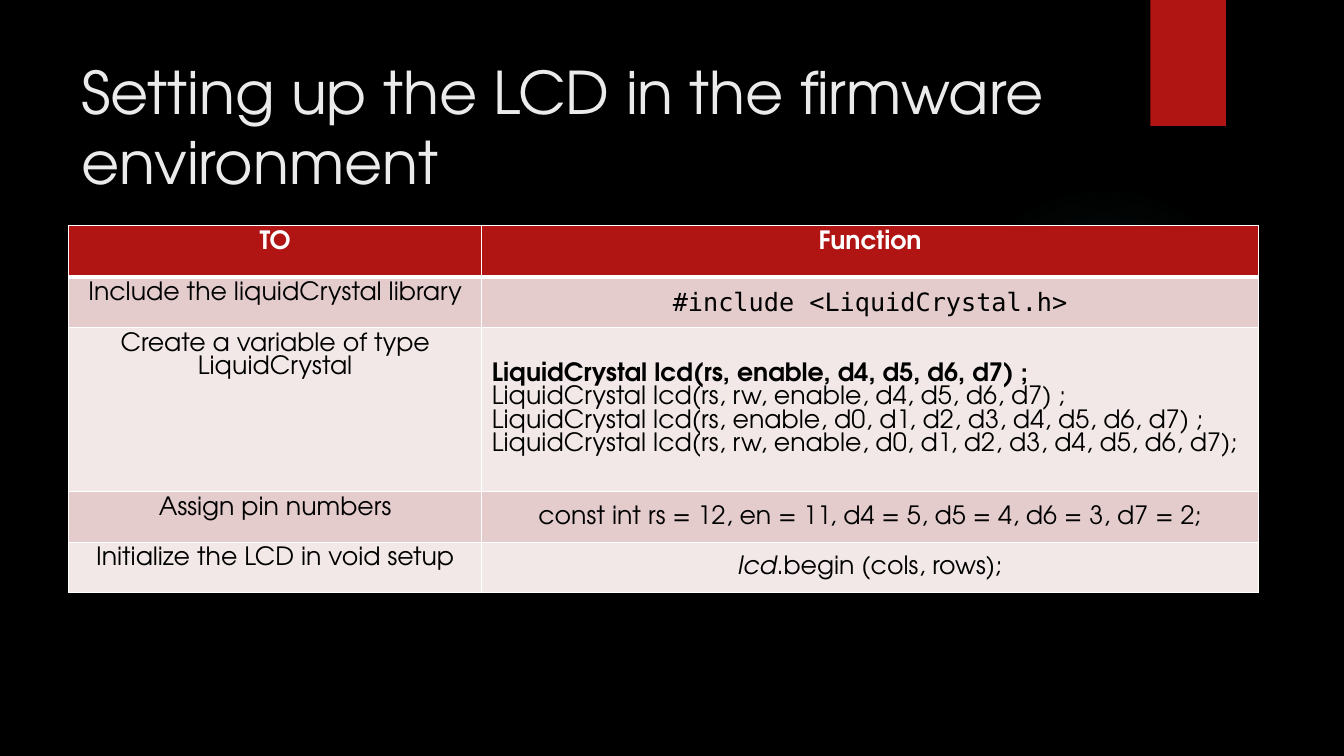
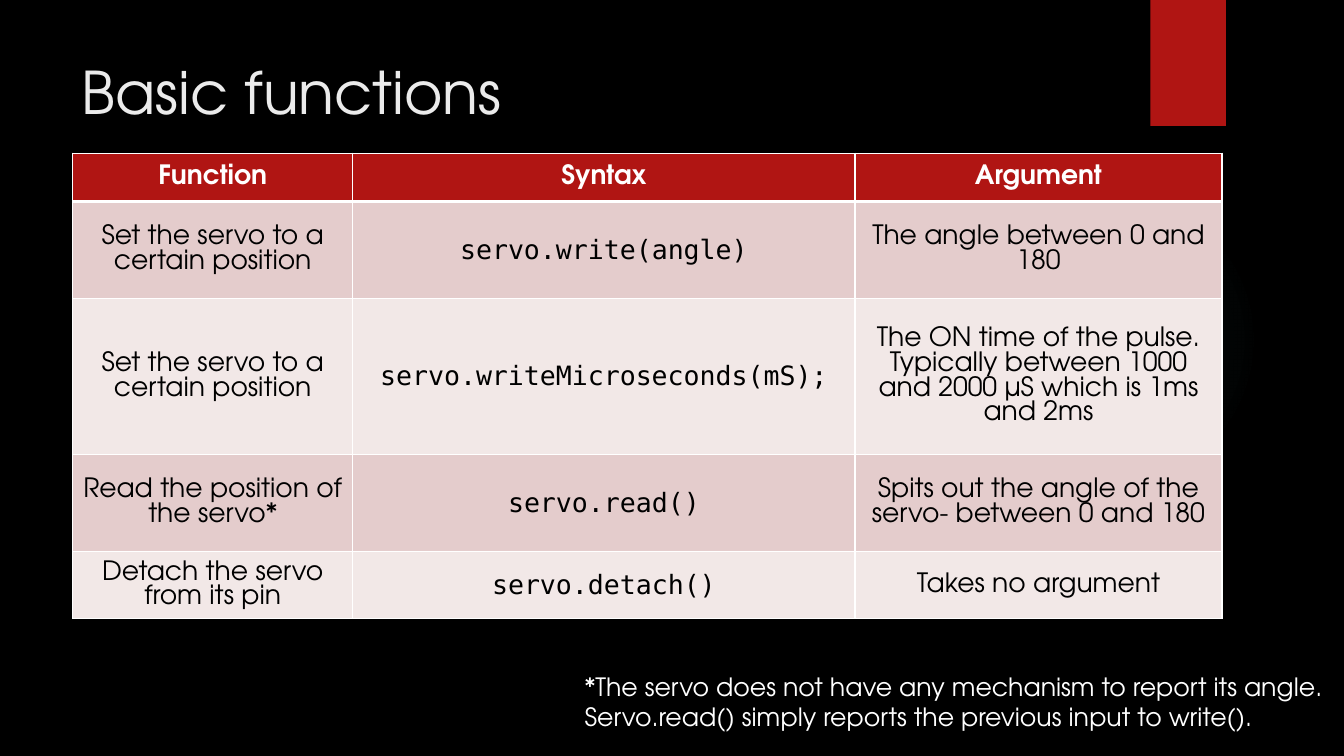
import dataclasses

import pptx
import pptx.dml.color
import pptx.enum.shapes
import pptx.enum.text
import pptx.oxml
import pptx.oxml.ns
import pptx.util

Inches = pptx.util.Inches
Pt = pptx.util.Pt
ALIGN = pptx.enum.text.PP_ALIGN
ANCHOR = pptx.enum.text.MSO_ANCHOR
SHAPE = pptx.enum.shapes.MSO_SHAPE


@dataclasses.dataclass(frozen=True)
class Theme:
    background: str = "000000"
    accent: str = "B01513"
    glow: str = "50B9C1"
    title: str = "EBEBEB"
    light: str = "FFFFFF"
    dark: str = "000000"
    bands: tuple = ("E4CCCC", "F2E8E7")
    font: str = "TeX Gyre Adventor"
    mono: str = "DejaVu Sans Mono"
    title_size: int = 42
    setup_size: int = 18
    functions_size: int = 19
    note_size: int = 18
    rule: int = 1
    header_rule: int = 3


THEME = Theme()


def rgb(value):
    return pptx.dml.color.RGBColor.from_string(value)


def drawing_xml(body):
    tag, rest = body.split(" ", 1)
    return pptx.oxml.parse_xml(f"{tag} {pptx.oxml.ns.nsdecls('a')} {rest}")


def write_text(frame, content, size=18, font=THEME.font, color=THEME.light,
               bold=False, italic=False, align=ALIGN.LEFT, anchor=ANCHOR.TOP):
    frame.word_wrap = True
    frame.vertical_anchor = anchor
    lines = [content] if isinstance(content, str) else content
    for index, line in enumerate(lines):
        paragraph = frame.paragraphs[0] if index == 0 else frame.add_paragraph()
        paragraph.alignment = align
        parts = [(line, {})] if isinstance(line, str) else line
        for text, changes in parts:
            run = paragraph.add_run()
            run.text = text
            run.font.size = Pt(size)
            run.font.name = font
            run.font.color.rgb = rgb(color)
            run.font.bold = changes.get("bold", bold)
            run.font.italic = changes.get("italic", italic)


def add_backdrop(slide):
    glow = slide.shapes.add_shape(
        SHAPE.OVAL, Inches(9.41), Inches(1.83), Inches(3.08), Inches(3.08))
    tab = slide.shapes.add_shape(
        SHAPE.RECTANGLE, Inches(11.41), 0, Inches(0.75), Inches(1.25))
    for part in (glow, tab):
        part.shadow.inherit = False
        part.line.fill.background()

    stops = "".join(
        f'<a:gs pos="{position * 1000}"><a:srgbClr val="{THEME.glow}">'
        f'<a:alpha val="{opacity * 1000}"/></a:srgbClr></a:gs>'
        for position, opacity in ((0, 7), (36, 6), (69, 0)))
    outline = glow.element.spPr.find(pptx.oxml.ns.qn("a:prstGeom"))
    outline.addnext(drawing_xml(
        f'<a:gradFill ><a:gsLst>{stops}</a:gsLst><a:path path="circle">'
        '<a:fillToRect l="50000" t="50000" r="50000" b="50000"/>'
        '</a:path></a:gradFill>'))

    tab.fill.solid()
    tab.fill.fore_color.rgb = rgb(THEME.accent)
    effects = tab.element.spPr.find(pptx.oxml.ns.qn("a:effectLst"))
    effects.append(drawing_xml(
        f'<a:outerShdw blurRad="{Pt(3)}" dist="{Pt(2)}" dir="5400000">'
        '<a:srgbClr val="000000"><a:alpha val="45000"/></a:srgbClr>'
        '</a:outerShdw>'))


def add_titled_slide(deck, heading):
    slide = deck.slides.add_slide(deck.slide_layouts[5])
    add_backdrop(slide)
    title = slide.shapes.title
    title.left, title.top = Inches(0.71), Inches(0.5)
    title.width, title.height = Inches(10.29), Inches(1.53)
    title.text_frame.auto_size = pptx.enum.text.MSO_AUTO_SIZE.NONE
    write_text(title.text_frame, heading, size=THEME.title_size,
               color=THEME.title)
    return slide


def rule_cell(cell, row):
    widths = {"lnL": THEME.rule, "lnR": THEME.rule,
              "lnT": THEME.header_rule if row == 1 else THEME.rule,
              "lnB": THEME.header_rule if row == 0 else THEME.rule}
    properties = cell._tc.get_or_add_tcPr()
    for index, (edge, width) in enumerate(widths.items()):
        properties.insert(index, drawing_xml(
            f'<a:{edge} w="{Pt(width)}"><a:solidFill>'
            f'<a:srgbClr val="{THEME.light}"/></a:solidFill></a:{edge}>'))


def add_grid(slide, left, top, widths, heights, rows, size, cell_format):
    grid = slide.shapes.add_table(
        len(heights), len(widths), Inches(left), Inches(top),
        Inches(sum(widths)), Inches(sum(heights))).table
    for column, width in zip(grid.columns, widths):
        column.width = Inches(width)
    for row, height in zip(grid.rows, heights):
        row.height = Inches(height)
    for row, contents in enumerate(rows):
        header = row == 0
        for column, content in enumerate(contents):
            cell = grid.cell(row, column)
            cell.fill.solid()
            cell.fill.fore_color.rgb = rgb(
                THEME.accent if header else THEME.bands[(row - 1) % 2])
            rule_cell(cell, row)
            style = {"align": ALIGN.CENTER, "anchor": ANCHOR.MIDDLE,
                     **cell_format(row, column)}
            cell.vertical_anchor = style.pop("anchor")
            write_text(cell.text_frame, content, size=size, bold=header,
                       color=THEME.light if header else THEME.dark,
                       anchor=None, **style)


def setup_format(row, column):
    if row == 0 or column == 0:
        return {"anchor": ANCHOR.TOP}
    return {1: {"font": THEME.mono}, 2: {"align": ALIGN.LEFT}}.get(row, {})


def functions_format(row, column):
    return {"font": THEME.mono} if row and column == 1 else {}


def add_setup_slide(deck):
    slide = add_titled_slide(deck, "Setting up the LCD in the firmware environment")
    constructors = [
        [("LiquidCrystal lcd(rs, enable, d4, d5, d6, d7) ;", {"bold": True})],
        "LiquidCrystal lcd(rs, rw, enable, d4, d5, d6, d7) ;",
        "LiquidCrystal lcd(rs, enable, d0, d1, d2, d3, d4, d5, d6, d7) ;",
        "LiquidCrystal lcd(rs, rw, enable, d0, d1, d2, d3, d4, d5, d6, d7);",
    ]
    begin_call = [[("lcd", {"italic": True}), (".begin (cols, rows);", {})]]
    steps = [
        ("TO", "Function"),
        ("Include the liquidCrystal library", "#include <LiquidCrystal.h>"),
        ("Create a variable of type LiquidCrystal", constructors),
        ("Assign pin numbers",
         "const int rs = 12, en = 11, d4 = 5, d5 = 4, d6 = 3, d7 = 2;"),
        ("Initialize the LCD in void setup", begin_call),
    ]
    add_grid(slide, 0.68, 2.24, (4.1, 7.7), (0.51, 0.5, 1.63, 0.5, 0.5),
             steps, THEME.setup_size, setup_format)


def add_functions_slide(deck):
    slide = add_titled_slide(deck, "Basic functions")
    functions = [
        ("Function", "Syntax", "Argument"),
        ("Set the servo to a certain position", "servo.write(angle)",
         "The angle between 0 and 180"),
        ("Set the servo to a certain position", "servo.writeMicroseconds(mS);",
         "The ON time of the pulse. Typically between 1000 and 2000 µS "
         "which is 1ms and 2ms"),
        ("Read the position of the servo*", "servo.read()",
         "Spits out the angle of the servo- between 0 and 180"),
        ("Detach the servo from its pin", "servo.detach()",
         "Takes no argument"),
    ]
    add_grid(slide, 0.72, 1.52, (2.78, 4.98, 3.64),
             (0.48, 0.96, 1.55, 0.96, 0.67), functions,
             THEME.functions_size, functions_format)
    note = slide.shapes.add_textbox(
        Inches(5.7), Inches(6.61), Inches(7.6), Inches(0.71))
    write_text(note.text_frame,
               "*The servo does not have any mechanism to report its angle. "
               "Servo.read() simply reports the previous input to write().",
               size=THEME.note_size)


def main():
    deck = pptx.Presentation()
    deck.slide_width, deck.slide_height = Inches(13.33), Inches(7.5)
    backdrop = deck.slide_master.background.fill
    backdrop.solid()
    backdrop.fore_color.rgb = rgb(THEME.background)
    add_setup_slide(deck)
    add_functions_slide(deck)
    deck.save("out.pptx")


if __name__ == "__main__":
    main()
